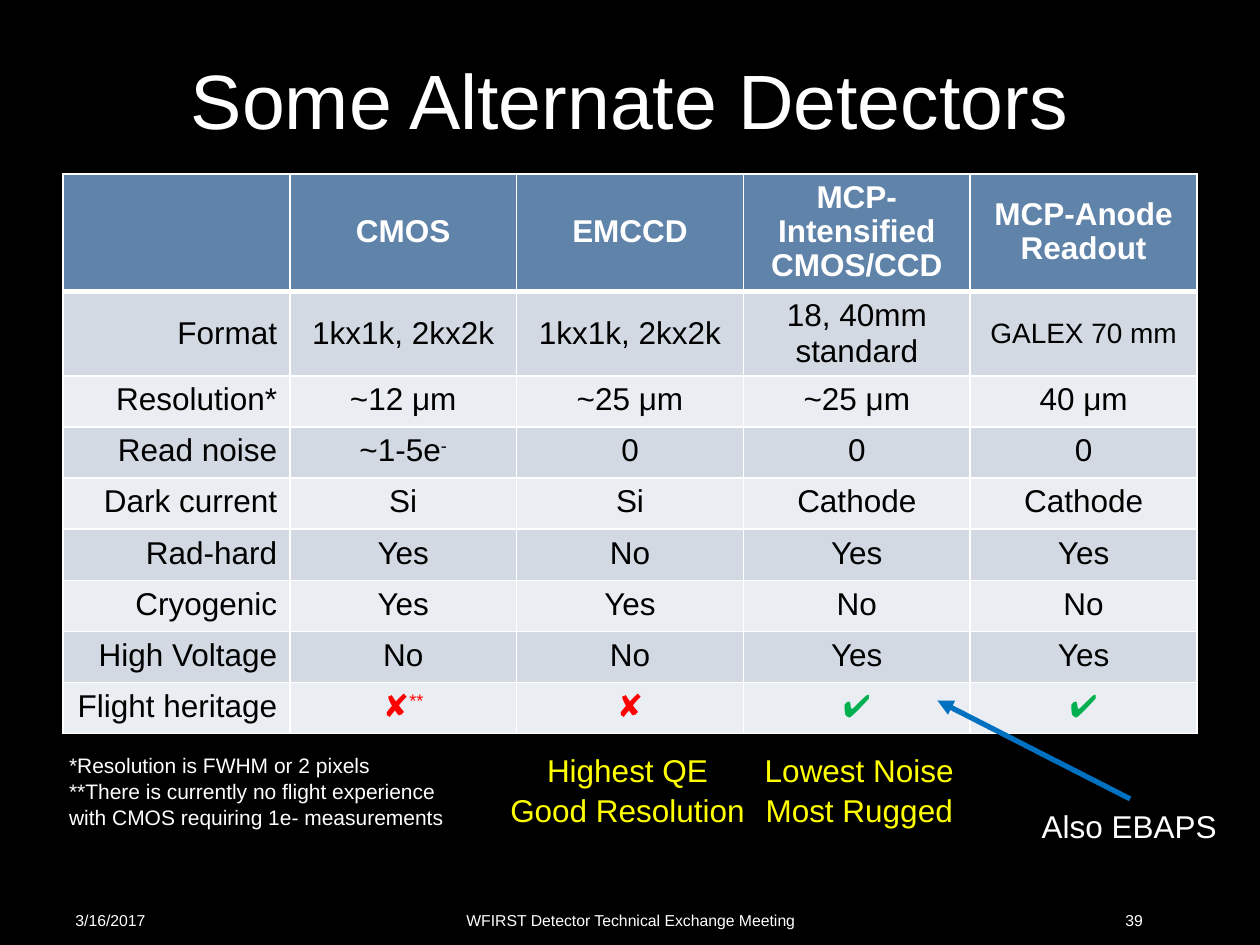
from lxml.etree import SubElement
from pptx import Presentation
from pptx.dml.color import RGBColor
from pptx.enum.shapes import MSO_CONNECTOR as CONNECTOR
from pptx.enum.text import MSO_ANCHOR as ANCHOR, MSO_AUTO_SIZE as AUTO_SIZE, PP_ALIGN as ALIGN
from pptx.oxml.ns import qn
from pptx.util import Pt

FONT = "Arial"
COLORS = {
    "background": "000000", "white": "FFFFFF", "black": "000000",
    "header": "6083AA", "odd_row": "D2D9E2", "even_row": "EAEDF1",
    "praise": "FFFF00", "arrow": "0070C0", "cross": "FF0000", "check": "00B050",
}
HEADINGS = ["", "CMOS", "EMCCD", "MCP-Intensified CMOS/CCD", "MCP-Anode Readout"]
PROPERTIES = [
    ["Format", "1kx1k, 2kx2k", "1kx1k, 2kx2k", "18, 40mm standard", "GALEX 70 mm"],
    ["Resolution*", "~12 μm", "~25 μm", "~25 μm", "40 μm"],
    ["Read noise", "~1-5e^-", "0", "0", "0"],
    ["Dark current", "Si", "Si", "Cathode", "Cathode"],
    ["Rad-hard", "Yes", "No", "Yes", "Yes"],
    ["Cryogenic", "Yes", "Yes", "No", "No"],
    ["High Voltage", "No", "No", "Yes", "Yes"],
    ["Flight heritage", "✘^**", "✘", "✔", "✔"],
]
MARK_COLORS = {"✘": "cross", "✔": "check"}


def rgb(name):
    return RGBColor.from_string(COLORS[name])


def add_run(paragraph, text, size, color="white", bold=False, raised=False):
    run = paragraph.add_run()
    run.text = text
    run.font.name = FONT
    run.font.size = Pt(size)
    run.font.bold = bold
    run.font.color.rgb = rgb(color)
    if raised:
        run.font._element.set("baseline", "30000")


def add_title(slide, text):
    title = slide.shapes.title
    title.left, title.top, title.width, title.height = Pt(36), Pt(21.6), Pt(648), Pt(90)
    frame = title.text_frame
    frame.vertical_anchor = ANCHOR.TOP
    frame.margin_top = Pt(8.2)
    frame.paragraphs[0].alignment = ALIGN.CENTER
    add_run(frame.paragraphs[0], text, 44)


def add_label(slide, box, lines, size, color="white", align=ALIGN.LEFT,
              wrap=True, anchor=ANCHOR.TOP, spacing=1.05):
    frame = slide.shapes.add_textbox(*map(Pt, box)).text_frame
    frame.word_wrap = wrap
    frame.auto_size = AUTO_SIZE.NONE
    frame.vertical_anchor = anchor
    for number, line in enumerate(lines):
        paragraph = frame.add_paragraph() if number else frame.paragraphs[0]
        paragraph.alignment = align
        paragraph.line_spacing = spacing
        add_run(paragraph, line, size, color)


def set_borders(cell, top, bottom):
    properties = cell._tc.get_or_add_tcPr()
    for side, width in (("L", 1), ("R", 1), ("T", top), ("B", bottom)):
        line = SubElement(properties, qn(f"a:ln{side}"), w=str(Pt(width)))
        fill = SubElement(line, qn("a:solidFill"))
        SubElement(fill, qn("a:srgbClr"), val=COLORS["white"])


def fill_cell(cell, text, row, column):
    header = row == 0
    set_borders(cell, top=3 if row == 1 else 1, bottom=3 if header else 1)
    cell.fill.solid()
    cell.fill.fore_color.rgb = rgb("header" if header else "odd_row" if row % 2 else "even_row")
    cell.vertical_anchor = ANCHOR.MIDDLE if row < 2 else ANCHOR.TOP
    paragraph = cell.text_frame.paragraphs[0]
    paragraph.alignment = ALIGN.CENTER if header or column else ALIGN.RIGHT
    if header:
        paragraph.line_spacing = 0.96
    # Text after a caret is superscript
    base, _, superscript = text.partition("^")
    color = "white" if header else MARK_COLORS.get(base, "black")
    size = 16 if base.startswith("GALEX") else 18
    if base:
        add_run(paragraph, base, size, color, bold=header)
    if superscript:
        add_run(paragraph, superscript, size, color, raised=True)


def add_detector_table(slide):
    rows = [HEADINGS] + PROPERTIES
    heights = [67, 48.4] + [29.2] * (len(rows) - 2)
    table = slide.shapes.add_table(len(rows), len(HEADINGS), Pt(36), Pt(99.4),
                                   Pt(648), Pt(sum(heights))).table
    for row, (texts, height) in enumerate(zip(rows, heights)):
        table.rows[row].height = Pt(height)
        for column, text in enumerate(texts):
            fill_cell(table.cell(row, column), text, row, column)


def add_arrow(slide, start, end):
    arrow = slide.shapes.add_connector(CONNECTOR.STRAIGHT, *map(Pt, start + end))
    arrow.line.color.rgb = rgb("arrow")
    arrow.line.width = Pt(3)
    SubElement(arrow.line._get_or_add_ln(), qn("a:tailEnd"), type="triangle")
    SubElement(arrow._element.spPr, qn("a:effectLst"))


def main():
    deck = Presentation()
    deck.slide_width, deck.slide_height = Pt(720), Pt(540)
    slide = deck.slides.add_slide(deck.slide_layouts[5])
    slide.background.fill.solid()
    slide.background.fill.fore_color.rgb = rgb("background")

    add_title(slide, "Some Alternate Detectors")
    add_detector_table(slide)

    # Footer: date, page number, meeting
    for left, width, text, align in (
        (36, 108.7, "3/16/2017", ALIGN.LEFT),
        (576, 84.2, "39", ALIGN.RIGHT),
        (144.7, 431.3, "WFIRST Detector Technical Exchange Meeting", ALIGN.CENTER),
    ):
        add_label(slide, (left, 511.2, width, 28.8), [text], 9, align=align,
                  anchor=ANCHOR.MIDDLE, spacing=1.0)

    # Strengths of the detectors
    for left, width, strengths in (
        (283.7, 149.8, ["Highest QE", "Good Resolution"]),
        (429.1, 123.8, ["Lowest Noise", "Most Rugged"]),
    ):
        add_label(slide, (left, 424.8, width, 51.1), strengths, 18, "praise",
                  ALIGN.CENTER, wrap=False)

    # Table footnotes
    add_label(slide, (32.4, 425.5, 247.7, 51.1), [
        "*Resolution is FWHM or 2 pixels",
        "**There is currently no flight experience with CMOS requiring 1e- measurements",
    ], 12)

    # Remark with its arrow
    add_label(slide, (588.2, 456.5, 115.2, 28.8), ["Also EBAPS"], 18, wrap=False)
    add_arrow(slide, (645.8, 456.5), (535.7, 400.3))

    deck.save("out.pptx")


if __name__ == "__main__":
    main()
